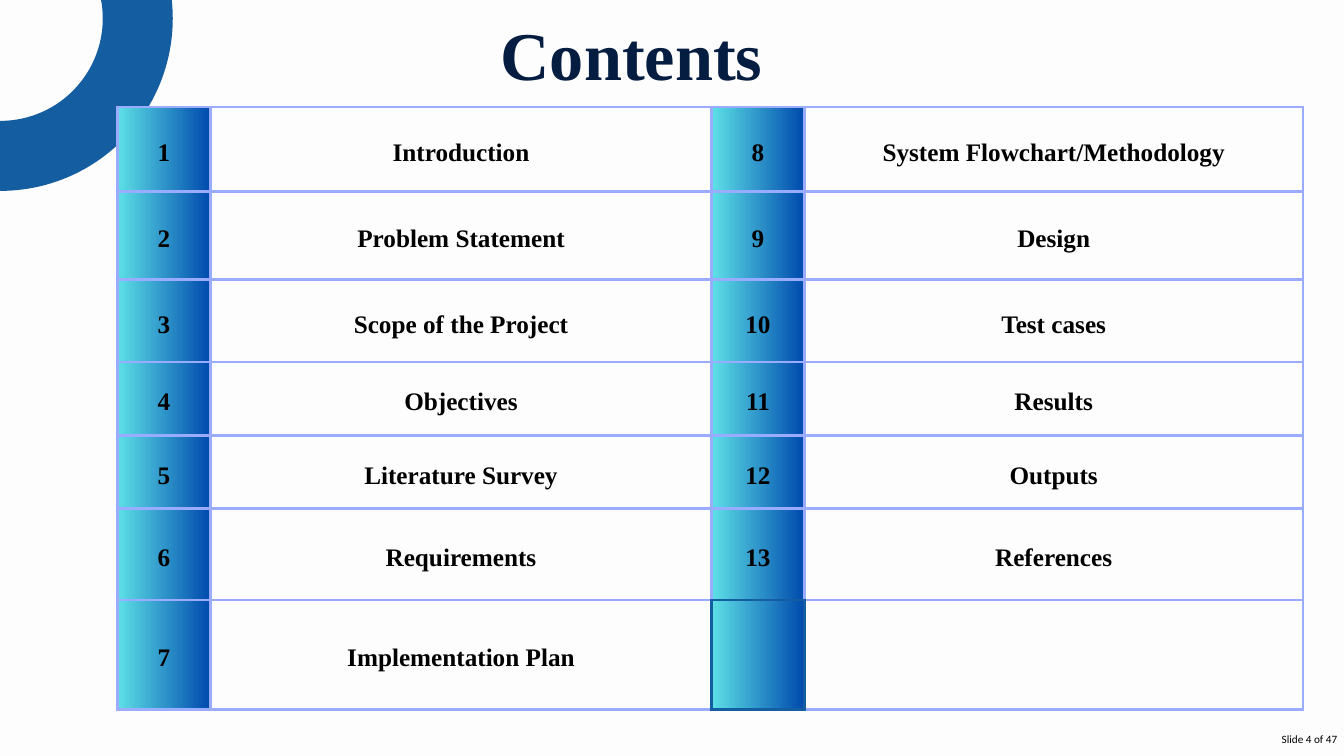
from lxml import etree
from pptx import Presentation
from pptx import util as u
from pptx.dml.color import RGBColor
from pptx.enum import shapes, text
from pptx.oxml.ns import qn

PX = 9144
FONT = "Times New Roman"
PAPER, RING, EDGE, INK, TITLE = "FDFDFD", "145DA0", "99ACFF", "000000", "051D40"
GRADIENT = ("5DE0E6", "004AAD")

TOPICS = [
    "Introduction", "Problem Statement", "Scope of the Project", "Objectives",
    "Literature Survey", "Requirements", "Implementation Plan",
    "System Flowchart/Methodology", "Design", "Test cases", "Results",
    "Outputs", "References",
]
COLUMNS = [138, 746, 138, 742]
ROWS = [126, 131, 123, 109, 109, 136, 163]
EMPTY_NUMBER = (6, 2)
SIDES = {"L": (0, -1), "R": (0, 1), "T": (-1, 0), "B": (1, 0)}


def px(value):
    return u.Emu(value * PX)


def rgb(value):
    return RGBColor.from_string(value)


def write(frame, words, size, color, align, font=FONT, bold=True, spacing=None):
    para = frame.paragraphs[0]
    para.alignment = align
    if spacing:
        para.line_spacing = u.Pt(spacing)
    span = para.add_run()
    span.text = words
    span.font.name, span.font.size = font, u.Pt(size)
    span.font.bold, span.font.color.rgb = bold, rgb(color)


def set_margins(frame, margin):
    frame.margin_left = frame.margin_right = margin
    frame.margin_top = frame.margin_bottom = margin


def place(box, left, top, width, height):
    box.left, box.top, box.width, box.height = map(px, (left, top, width, height))


def set_borders(cell, row, column):
    properties = cell._tc.get_or_add_tcPr()
    for index, (side, (down, across)) in enumerate(SIDES.items()):
        touching = EMPTY_NUMBER in ((row, column), (row + down, column + across))
        line = etree.Element(qn(f"a:ln{side}"), w=str(u.Pt(3)))
        fill = etree.SubElement(line, qn("a:solidFill"))
        etree.SubElement(fill, qn("a:srgbClr"), val=RING if touching else EDGE)
        properties.insert(index, line)


def fill_cell(cell, column):
    if column % 2:
        cell.fill.solid()
        cell.fill.fore_color.rgb = rgb(PAPER)
        return
    cell.fill.gradient()
    cell.fill.gradient_angle = 0
    for stop, color in zip(cell.fill.gradient_stops, GRADIENT):
        stop.color.rgb = rgb(color)


def add_ring(page):
    ring = page.shapes.add_shape(
        shapes.MSO_SHAPE.OVAL, px(-204), px(-177), px(409), px(409))
    ring.shadow.inherit = False
    ring.fill.background()
    ring.line.color.rgb = rgb(RING)
    ring.line.width = u.Pt(75)


def add_contents(page):
    table = page.shapes.add_table(
        len(ROWS), len(COLUMNS), px(175), px(159), px(sum(COLUMNS)), px(sum(ROWS))).table
    table.first_row = table.horz_banding = False
    for column, width in zip(table.columns, COLUMNS):
        column.width = px(width)
    for r, height in enumerate(ROWS):
        table.rows[r].height = px(height)
        for c in range(len(COLUMNS)):
            cell = table.cell(r, c)
            fill_cell(cell, c)
            set_borders(cell, r, c)
            set_margins(cell, px(21))
            cell.vertical_anchor = text.MSO_ANCHOR.MIDDLE
            item = r + c // 2 * len(ROWS)
            if item < len(TOPICS):
                words = TOPICS[item] if c % 2 else str(item + 1)
                write(cell.text_frame, words, 27, INK, text.PP_ALIGN.CENTER, spacing=37.8)


def add_title(page):
    title = page.shapes.title
    place(title, 745, -2, 408, 152)
    frame = title.text_frame
    set_margins(frame, 0)
    frame.word_wrap = True
    frame.auto_size = text.MSO_AUTO_SIZE.NONE
    frame.vertical_anchor = text.MSO_ANCHOR.TOP
    write(frame, "Contents", 73.2, TITLE, text.PP_ALIGN.LEFT, spacing=102.5)


def add_page_number(page):
    box = page.shapes.add_textbox(px(1850), px(1085), px(150), px(30))
    box.text_frame.word_wrap = False
    write(box.text_frame, "Slide 4 of 47", 12, INK, text.PP_ALIGN.RIGHT, "Calibri", False)


def main():
    deck = Presentation()
    deck.slide_width, deck.slide_height = px(2000), px(1125)
    page = deck.slides.add_slide(deck.slide_layouts[5])
    page.background.fill.solid()
    page.background.fill.fore_color.rgb = rgb(PAPER)
    add_ring(page)
    add_contents(page)
    add_title(page)
    add_page_number(page)
    deck.save("out.pptx")


if __name__ == "__main__":
    main()
